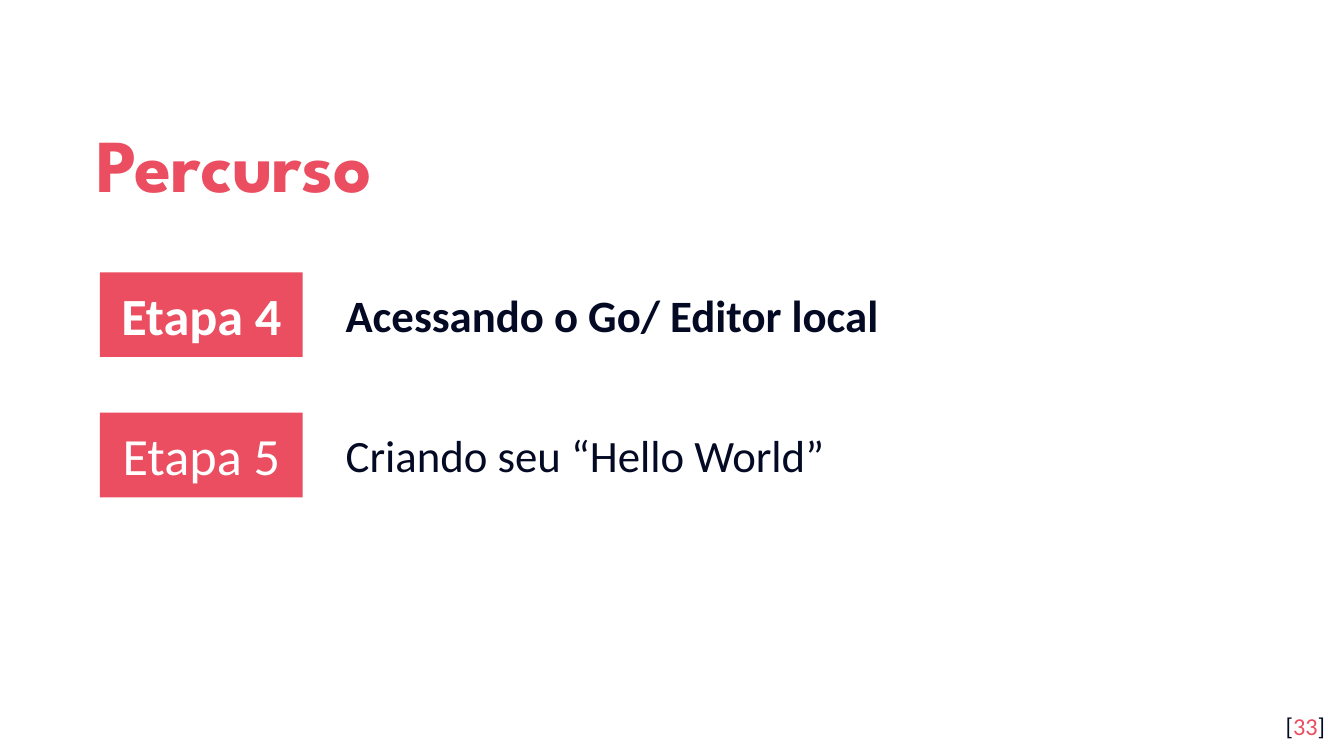
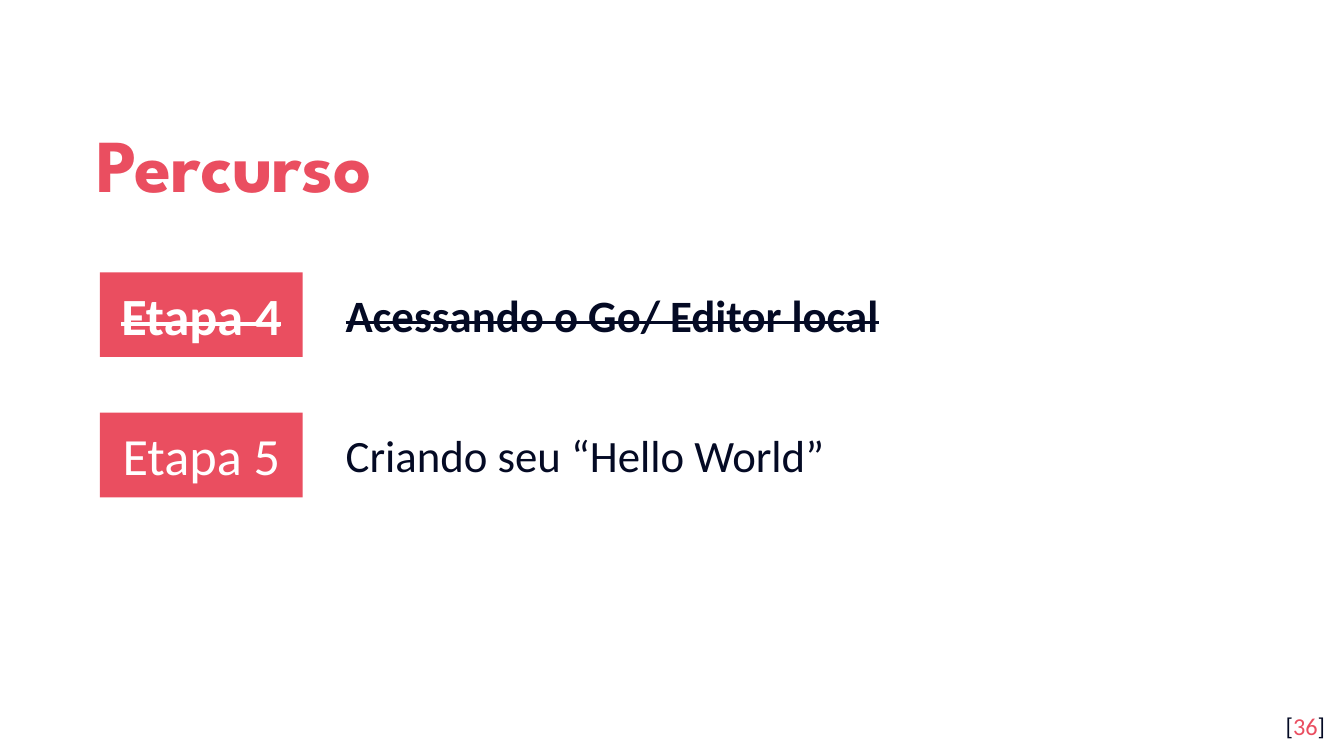
from pptx import Presentation
from pptx.dml.color import RGBColor
from pptx.enum.shapes import MSO_SHAPE
from pptx.enum.text import MSO_ANCHOR, PP_ALIGN
from pptx.util import Pt

CORAL, NAVY, WHITE = "EA4E60", "040A24", "FFFFFF"
BODY_FONT, TITLE_FONT = "Calibri", "League Spartan"

TITLE_BOX = (44.6, 50.4, 583.2, 66.2)
STEPS_BOX = (53.5, 145.9, 610.4, 45.4)
PAGE_BOX = (673.7, 373.7, 43.2, 31)
STEP_PITCH = 75.2

STEPS = [("Etapa 4", "Acessando o Go/ Editor local"),
         ("Etapa 5", "Criando seu “Hello World”")]


def color(value):
    return RGBColor.from_string(value)


def setup_text(s, anchor=MSO_ANCHOR.TOP, pad=7.2):
    """Set wrapping, anchor and margins; return the first paragraph."""
    tf = s.text_frame
    tf.word_wrap = True
    tf.vertical_anchor = anchor
    tf.margin_left = tf.margin_right = Pt(7.2)
    tf.margin_top = tf.margin_bottom = Pt(pad)
    return tf.paragraphs[0]


def set_indent(p, left, first):
    pPr = p._p.get_or_add_pPr()
    pPr.set("marL", str(Pt(left)))
    pPr.set("indent", str(Pt(first)))


def add_run(p, text, size, fill, font=BODY_FONT, bold=False, struck=False):
    r = p.add_run()
    r.text = text
    r.font.size = Pt(size)
    r.font.name = font
    r.font.bold = bold
    r.font.color.rgb = color(fill)
    if struck:
        r._r.get_or_add_rPr().set("strike", "sngStrike")


def add_text_box(slide, box):
    return slide.shapes.add_textbox(*map(Pt, box))


def add_title(slide, box, text):
    p = setup_text(add_text_box(slide, box), MSO_ANCHOR.MIDDLE)
    p.line_spacing = 1.15
    add_run(p, text, 40, CORAL, TITLE_FONT, bold=True)


def add_step(slide, box, label, topic, current, done):
    x, y, w, h = box

    # Coloured step label
    s = slide.shapes.add_shape(MSO_SHAPE.RECTANGLE, Pt(x), Pt(y), Pt(108.7), Pt(h))
    s.shadow.inherit = False
    s.fill.solid()
    s.fill.fore_color.rgb = color(CORAL)
    s.line.fill.background()
    p = setup_text(s, MSO_ANCHOR.MIDDLE)
    p.level = 1
    p.alignment = PP_ALIGN.CENTER
    set_indent(p, 0, 0)
    add_run(p, label, 28, WHITE, bold=current, struck=done)

    # Topic to the right of the label
    topic_box = (x + 124.6, y + 4.5, w - 124.6, 36)
    p = setup_text(add_text_box(slide, topic_box), pad=3.6)
    set_indent(p, 36, -36)
    add_run(p, topic, 24, NAVY, bold=current, struck=done)


def add_page_number(slide, box, number):
    p = setup_text(add_text_box(slide, box))
    p.alignment = PP_ALIGN.RIGHT
    for text, fill in (("[", NAVY), (str(number), CORAL), ("]", NAVY)):
        add_run(p, text, 13, fill)


def add_route_slide(prs, page, first_done):
    slide = prs.slides.add_slide(prs.slide_layouts[6])
    slide.background.fill.solid()
    slide.background.fill.fore_color.rgb = color(WHITE)
    add_title(slide, TITLE_BOX, "Percurso")
    x, y, w, h = STEPS_BOX
    for i, (label, topic) in enumerate(STEPS):
        add_step(slide, (x, y + i * STEP_PITCH, w, h), label, topic,
                 current=i == 0, done=first_done and i == 0)
    add_page_number(slide, PAGE_BOX, page)


def main():
    prs = Presentation()
    prs.slide_width, prs.slide_height = Pt(720), Pt(405)
    add_route_slide(prs, 33, first_done=False)
    add_route_slide(prs, 36, first_done=True)
    prs.save("out.pptx")


if __name__ == "__main__":
    main()
